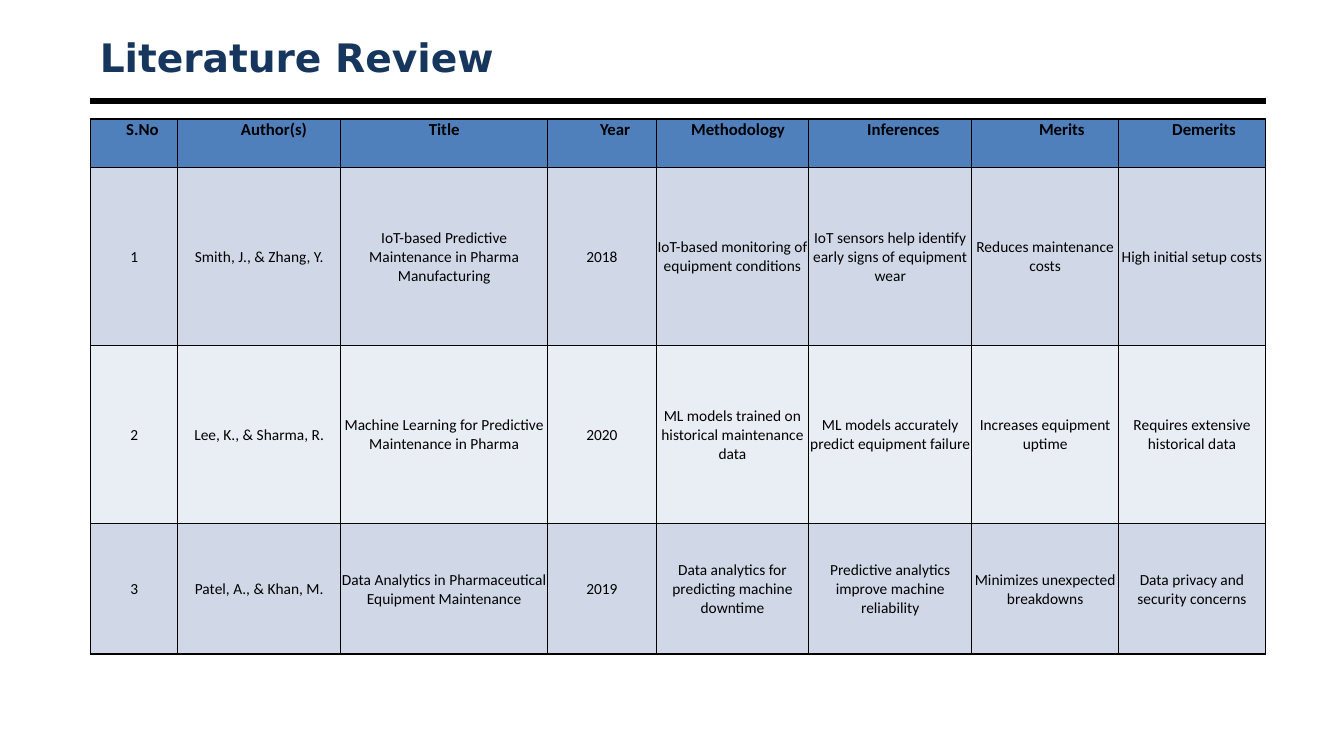
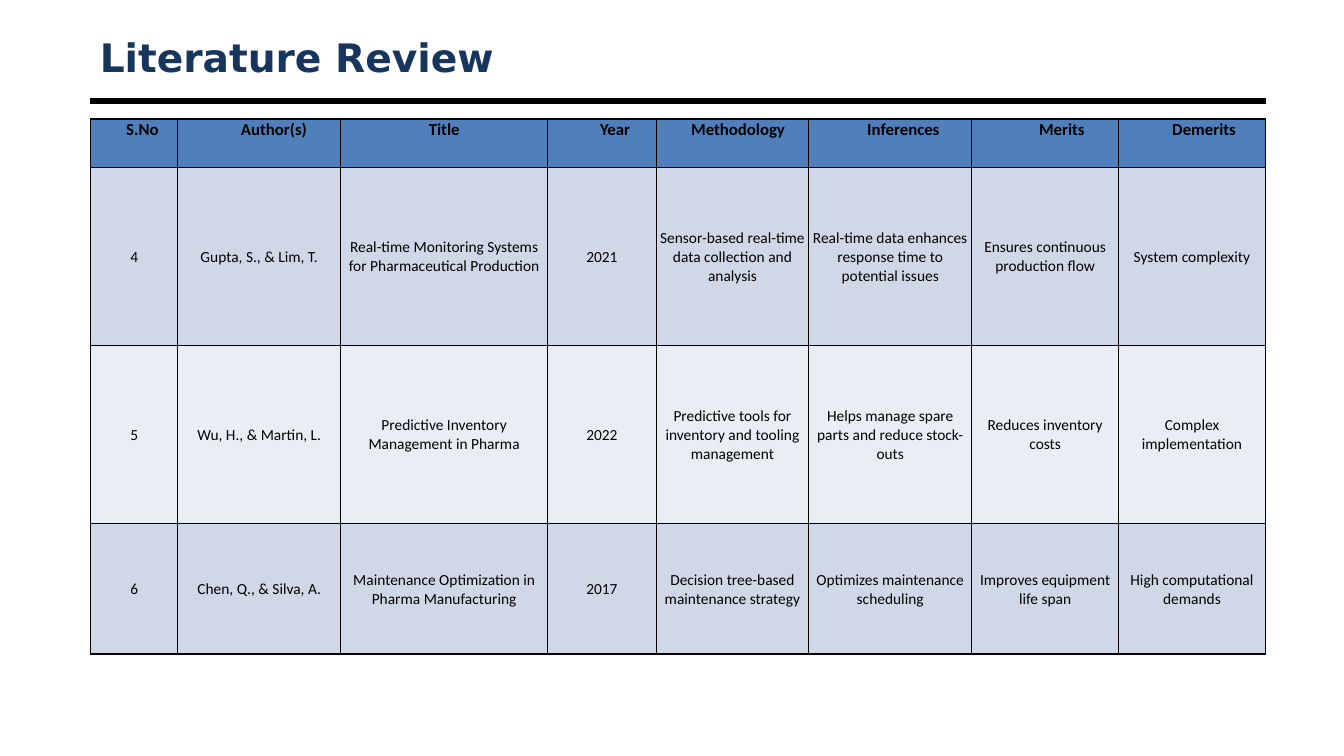
from lxml.etree import SubElement
from pptx import Presentation
from pptx.dml.color import RGBColor as RGB
from pptx.enum.shapes import MSO_CONNECTOR as CONN
from pptx.enum.text import MSO_ANCHOR as ANCHOR, MSO_AUTO_SIZE as AUTO, PP_ALIGN as ALIGN
from pptx.oxml.ns import qn
from pptx.util import Cm, Pt

COLORS = {
    "title": "17365D",
    "ink": "000000",
    "head": "4F80BC",
    "odd": "D0D8E8",
    "even": "E9EDF4",
}

# Text formats: attributes of a font
FORMATS = {
    "title": {"name": "DejaVu Sans", "size": Pt(28), "bold": True},
    "head": {"name": "Calibri", "size": Pt(12), "bold": True},
    "body": {"name": "Calibri", "size": Pt(11), "bold": False},
}

# Cell formats: attributes of a table cell
SIDES = ("margin_left", "margin_top", "margin_right")
CELLS = {
    "head": {"vertical_anchor": ANCHOR.TOP, "margin_bottom": 0,
             **dict.fromkeys(SIDES, 0)},
    "body": {"vertical_anchor": ANCHOR.MIDDLE, "margin_bottom": 0,
             **dict.fromkeys(SIDES, Cm(0.02))},
}

# Columns: heading, width and heading indent in cm
COLUMNS = [
    ("S.No", 2.19, 0.41),
    ("Author(s)", 4.11, 0.74),
    ("Title", 5.21, 0),
    ("Year", 2.74, 0.66),
    ("Methodology", 3.84, 0.28),
    ("Inferences", 4.11, 0.66),
    ("Merits", 3.7, 0.84),
    ("Demerits", 3.7, 0.61),
]
ROW_HEIGHTS = [1.22, 4.49, 4.49, 3.28]

# One list of papers per slide
REVIEWS = [
    [
        ("1", "Smith, J., & Zhang, Y.",
         "IoT-based Predictive Maintenance in Pharma Manufacturing", "2018",
         "IoT-based monitoring of equipment conditions",
         "IoT sensors help identify early signs of equipment wear",
         "Reduces maintenance costs", "High initial setup costs"),
        ("2", "Lee, K., & Sharma, R.",
         "Machine Learning for Predictive Maintenance in Pharma", "2020",
         "ML models trained on historical maintenance data",
         "ML models accurately predict equipment failure",
         "Increases equipment uptime", "Requires extensive historical data"),
        ("3", "Patel, A., & Khan, M.",
         "Data Analytics in Pharmaceutical Equipment Maintenance", "2019",
         "Data analytics for predicting machine downtime",
         "Predictive analytics improve machine reliability",
         "Minimizes unexpected breakdowns", "Data privacy and security concerns"),
    ],
    [
        ("4", "Gupta, S., & Lim, T.",
         "Real-time Monitoring Systems for Pharmaceutical Production", "2021",
         "Sensor-based real-time data collection and analysis",
         "Real-time data enhances response time to potential issues",
         "Ensures continuous production flow", "System complexity"),
        ("5", "Wu, H., & Martin, L.",
         "Predictive Inventory Management in Pharma", "2022",
         "Predictive tools for inventory and tooling management",
         "Helps manage spare parts and reduce stock-outs",
         "Reduces inventory costs", "Complex implementation"),
        ("6", "Chen, Q., & Silva, A.",
         "Maintenance Optimization in Pharma Manufacturing", "2017",
         "Decision tree-based maintenance strategy",
         "Optimizes maintenance scheduling",
         "Improves equipment life span", "High computational demands"),
    ],
]


def apply(target, values):
    for name, value in values.items():
        setattr(target, name, value)


class Deck:
    """Holds the style and the current slide."""

    left, width = Cm(2.26), Cm(29.64)

    def __init__(self):
        self.prs = Presentation()
        self.prs.slide_width, self.prs.slide_height = Cm(33.87), Cm(19.05)
        self.slide = None

    def new_slide(self, title):
        self.slide = self.prs.slides.add_slide(self.prs.slide_layouts[5])
        self.title(title)
        self.rule(Cm(2.54))

    def add_text(self, p, text, fmt, color):
        r = p.add_run()
        r.text = text
        apply(r.font, FORMATS[fmt])
        r.font.color.rgb = RGB.from_string(COLORS[color])

    def title(self, text):
        sp = self.slide.shapes.title
        apply(sp, {"left": self.left, "top": Cm(0.76),
                   "width": self.width, "height": Cm(1.35)})
        tf = sp.text_frame
        apply(tf, {"auto_size": AUTO.NONE, "word_wrap": True,
                   "vertical_anchor": ANCHOR.MIDDLE})
        p = tf.paragraphs[0]
        p.alignment = ALIGN.LEFT
        self.add_text(p, text, "title", "title")

    def rule(self, y):
        cx = self.slide.shapes.add_connector(
            CONN.STRAIGHT, self.left, y, self.left + self.width, y)
        cx.line.width = Pt(4.5)
        cx.line.color.rgb = RGB.from_string(COLORS["ink"])
        SubElement(cx._element.spPr, qn("a:effectLst"))

    def borders(self, cell):
        tcPr = cell._tc.get_or_add_tcPr()
        for side in ("lnL", "lnR", "lnT", "lnB"):
            ln = SubElement(tcPr, qn(f"a:{side}"), w=str(Pt(1)))
            fill = SubElement(ln, qn("a:solidFill"))
            SubElement(fill, qn("a:srgbClr"), val=COLORS["ink"])

    def cell(self, cell, text, fmt, fill, indent=0):
        apply(cell, CELLS[fmt])
        self.borders(cell)  # borders must precede the fill
        cell.fill.solid()
        cell.fill.fore_color.rgb = RGB.from_string(COLORS[fill])
        p = cell.text_frame.paragraphs[0]
        p.alignment = ALIGN.CENTER
        if indent:
            p._p.get_or_add_pPr().set("marL", str(Cm(indent)))
        self.add_text(p, text, fmt, "ink")

    def table(self, papers):
        widths = [Cm(w) for _, w, _ in COLUMNS]
        heights = [Cm(h) for h in ROW_HEIGHTS]
        table = self.slide.shapes.add_table(
            len(heights), len(widths), Cm(2.29), Cm(3),
            sum(widths), sum(heights)).table
        table.horz_banding = False
        for col, width in zip(table.columns, widths):
            col.width = width
        for row, height in zip(table.rows, heights):
            row.height = height
        # Heading row
        for c, (heading, _, indent) in enumerate(COLUMNS):
            self.cell(table.cell(0, c), heading, "head", "head", indent)
        # Paper rows
        for r, paper in enumerate(papers, 1):
            for c, text in enumerate(paper):
                self.cell(table.cell(r, c), text, "body", "odd" if r % 2 else "even")


def main():
    deck = Deck()
    for papers in REVIEWS:
        deck.new_slide("Literature Review")
        deck.table(papers)
    deck.prs.save("out.pptx")


if __name__ == "__main__":
    main()
